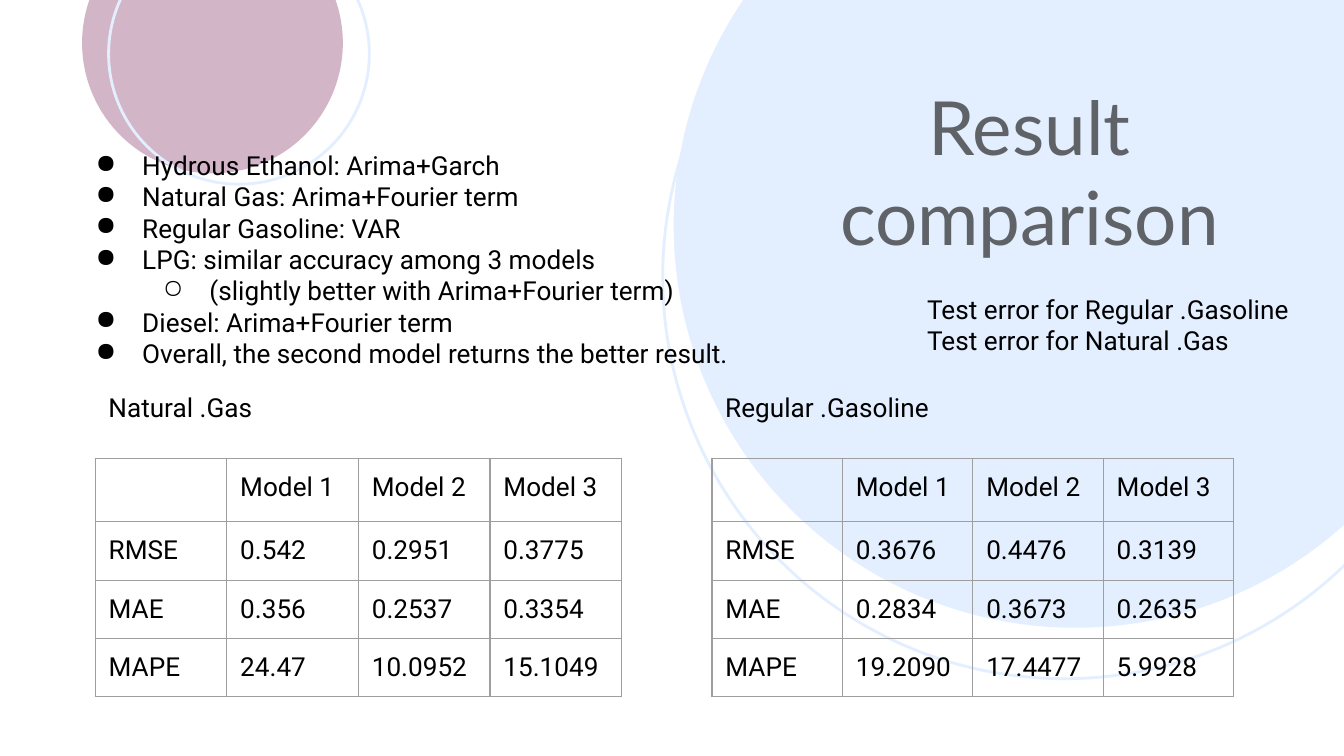
from lxml import etree
from pptx import Presentation
from pptx.dml.color import RGBColor
from pptx.enum.shapes import MSO_SHAPE
from pptx.enum.text import MSO_ANCHOR, MSO_AUTO_SIZE, PP_ALIGN
from pptx.oxml.ns import qn
from pptx.util import Pt

OVAL = MSO_SHAPE.OVAL
MIDDLE = MSO_ANCHOR.MIDDLE
NO_FIT = MSO_AUTO_SIZE.NONE
CENTER = PP_ALIGN.CENTER


def color(value):
    return RGBColor.from_string(value)


class SlideBuilder:
    title_font, body_font = "Lato", "Roboto"
    title_size, body_size = 40, 14
    title_color, ink = "5F6368", "000000"
    pale, mauve, grid = "E3EFFF", "D3B5C8", "9E9E9E"
    inset = 7.2

    def __init__(self, slide):
        self.slide = slide

    def set_insets(self, target):
        target.margin_left = target.margin_right = Pt(self.inset)
        target.margin_top = target.margin_bottom = Pt(self.inset)

    def run(self, p, text, size=body_size, font=body_font, ink=ink):
        r = p.add_run()
        r.text = text
        r.font.size = Pt(size)
        r.font.name = font
        r.font.color.rgb = color(ink)

    def circle(self, x, y, d, fill=None):
        sp = self.slide.shapes.add_shape(OVAL, Pt(x), Pt(y), Pt(d), Pt(d))
        sp.shadow.inherit = False
        if fill:
            sp.fill.solid()
            sp.fill.fore_color.rgb = color(fill)
            sp.line.fill.background()
        else:
            sp.fill.background()
            sp.line.color.rgb = color(self.pale)
            sp.line.width = Pt(1.5)

    def title(self, text, x, y, w, h):
        sp = self.slide.shapes.title
        sp.left, sp.top, sp.width, sp.height = Pt(x), Pt(y), Pt(w), Pt(h)
        self.slide.shapes._spTree.append(sp._element)
        tf = sp.text_frame
        tf.auto_size = NO_FIT
        tf.word_wrap = True
        tf.vertical_anchor = MIDDLE
        self.set_insets(tf)
        p = tf.paragraphs[0]
        p.alignment = CENTER
        self.run(p, text, self.title_size, self.title_font, self.title_color)

    def text(self, lines, x, y, w, h):
        tf = self.slide.shapes.add_textbox(Pt(x), Pt(y), Pt(w), Pt(h)).text_frame
        tf.word_wrap = True
        self.set_insets(tf)
        for i, line in enumerate(lines):
            p = tf.add_paragraph() if i else tf.paragraphs[0]
            self.run(p, line)
        return tf

    def bullets(self, items, x, y, w, h):
        tf = self.text([text for _, text in items], x, y, w, h)
        for p, (level, _) in zip(tf.paragraphs, items):
            p.level = level
            pPr = p._p.get_or_add_pPr()
            pPr.set("marL", str(Pt(36 * (level + 1))))
            pPr.set("indent", str(Pt(-25)))
            clr = etree.SubElement(pPr, qn("a:buClr"))
            etree.SubElement(clr, qn("a:srgbClr"), val=self.ink)
            etree.SubElement(pPr, qn("a:buChar"), char="●○"[level])

    def border(self, cell):
        tcPr = cell._tc.get_or_add_tcPr()
        for side in ("lnL", "lnR", "lnT", "lnB"):
            ln = etree.SubElement(tcPr, qn("a:" + side), w=str(Pt(0.75)))
            fill = etree.SubElement(ln, qn("a:solidFill"))
            etree.SubElement(fill, qn("a:srgbClr"), val=self.grid)

    def table(self, rows, x, y, col_w, row_heights):
        n_cols = len(rows[0])
        frame = self.slide.shapes.add_table(
            len(rows), n_cols, Pt(x), Pt(y), Pt(col_w * n_cols), Pt(sum(row_heights)))
        table = frame.table
        table.first_row = table.horz_banding = False
        for col in table.columns:
            col.width = Pt(col_w)
        for row, height, values in zip(table.rows, row_heights, rows):
            row.height = Pt(height)
            for cell, value in zip(row.cells, values):
                self.border(cell)
                cell.fill.background()
                if value:
                    self.set_insets(cell)
                    self.run(cell.text_frame.paragraphs[0], value)
                else:
                    cell.margin_top = cell.margin_bottom = 0


def main():
    prs = Presentation()
    prs.slide_width, prs.slide_height = Pt(720), Pt(405)
    s = SlideBuilder(prs.slides.add_slide(prs.slide_layouts[5]))

    s.circle(360.9, -94.3, 430.6, s.pale)
    s.circle(355, -67, 430.6)
    s.circle(44, -46.8, 139.7, s.mauve)
    s.circle(58.2, -41, 139.7)

    s.title("Result comparison", 416.2, 60.5, 270.7, 61.9)
    s.text(["Test error for Regular .Gasoline", "Test error for Natural .Gas"],
           489.6, 149.8, 578, 67.7)

    header = ["", "Model 1", "Model 2", "Model 3"]
    results = [
        ("Natural .Gas", 51, 70.5, [
            ["RMSE", "0.542", "0.2951", "0.3775"],
            ["MAE", "0.356", "0.2537", "0.3354"],
            ["MAPE", "24.47", "10.0952", "15.1049"]]),
        ("Regular .Gasoline", 381.4, 69.9, [
            ["RMSE", "0.3676", "0.4476", "0.3139"],
            ["MAE", "0.2834", "0.3673", "0.2635"],
            ["MAPE", "19.2090", "17.4477", "5.9928"]]),
    ]
    for name, x, col_w, errors in results:
        s.table([header] + errors, x, 245.6, col_w, [34] + [31.1] * 3)
        s.text([name], x, 202.3, 230, 34.6)

    s.bullets([
        (0, "Hydrous Ethanol: Arima+Garch"),
        (0, "Natural Gas: Arima+Fourier term"),
        (0, "Regular Gasoline: VAR"),
        (0, "LPG: similar accuracy among 3 models"),
        (1, "(slightly better with Arima+Fourier term)"),
        (0, "Diesel: Arima+Fourier term"),
        (0, "Overall, the second model returns the better result."),
    ], 33.1, 72.7, 475.9, 183.6)

    prs.save("out.pptx")


if __name__ == "__main__":
    main()
